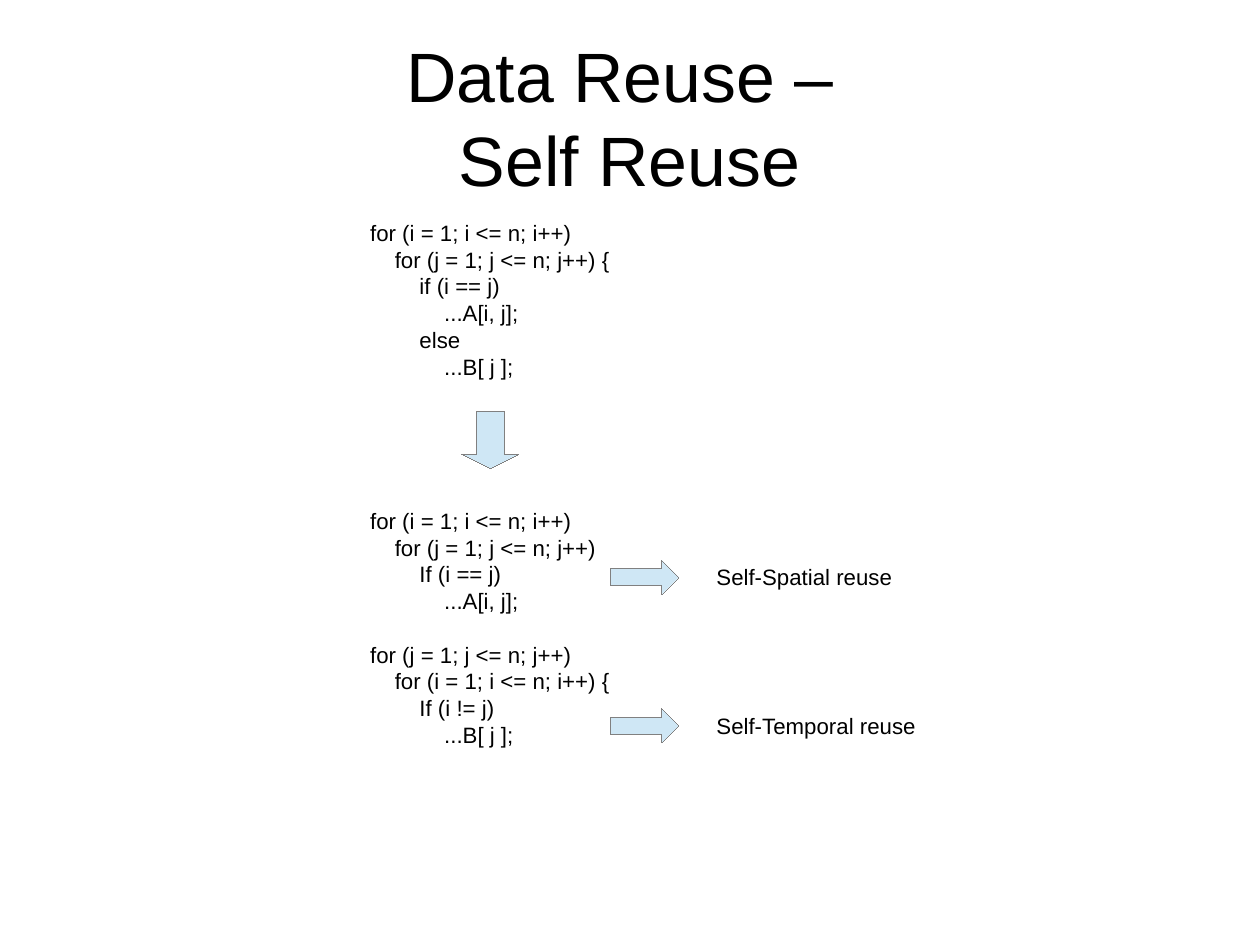
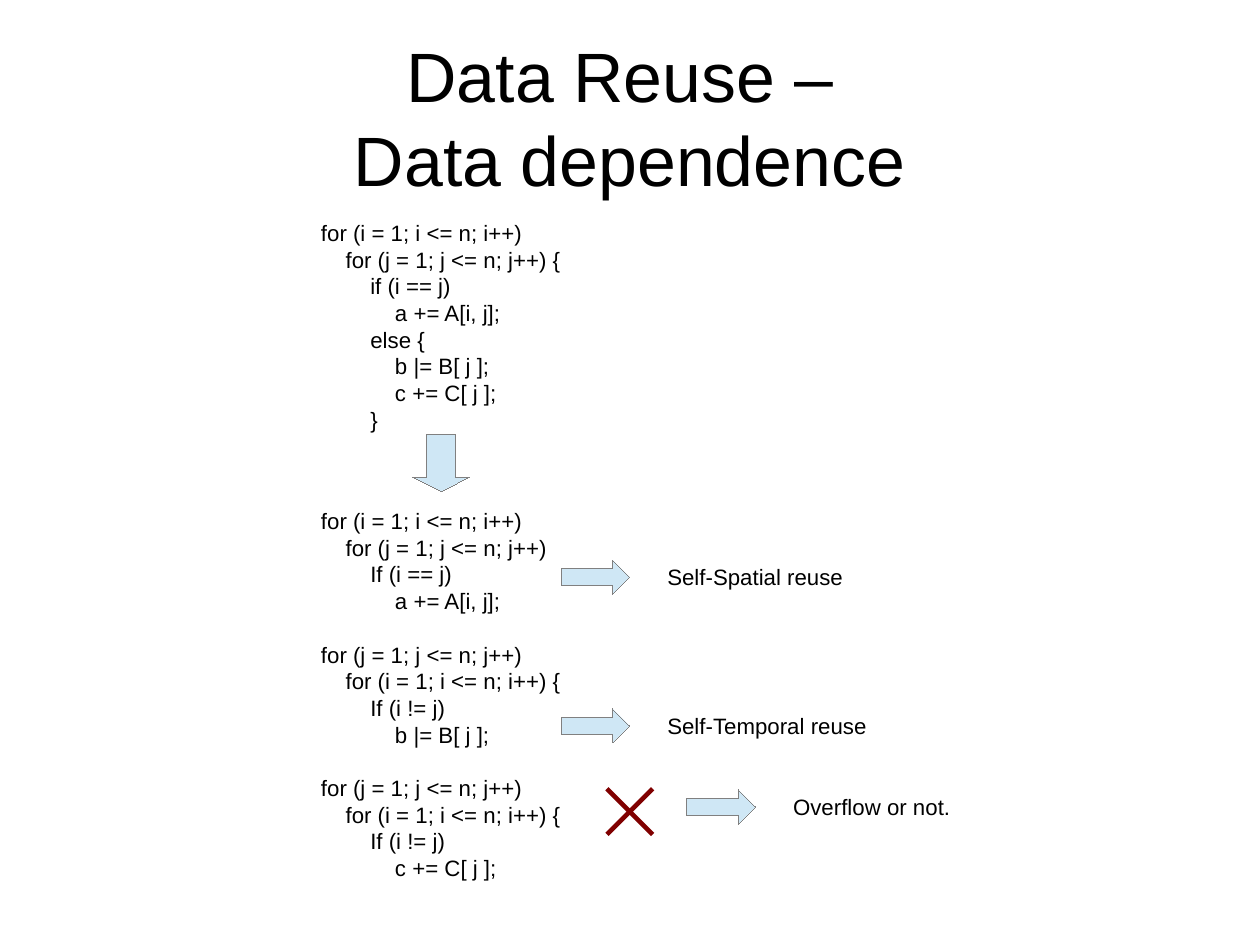
from dataclasses import dataclass

from pptx import Presentation
from pptx.dml.color import RGBColor
from pptx.enum.shapes import MSO_CONNECTOR, MSO_SHAPE
from pptx.enum.text import MSO_ANCHOR, PP_ALIGN
from pptx.oxml.ns import qn
from pptx.slide import Slide
from pptx.util import Cm, Inches, Length, Pt

WIDE, HIGH = Cm(28), Cm(21)
CELL = 0.1  # grid cell, in inches
FONT = "Arial"
BLACK = RGBColor(0x00, 0x00, 0x00)
SKY = RGBColor(0xCF, 0xE7, 0xF5)
GRAY = RGBColor(0x80, 0x80, 0x80)
MAROON = RGBColor(0x80, 0x00, 0x00)
CODE_TOP, SPLIT_TOP = 18.7, 43.9
DOWN_COL, NOTE_COL = 9, 22
BLOCK_GAP = Pt(16.8)


@dataclass(frozen=True)
class Note:
    text: str
    row: float
    col: float = NOTE_COL


@dataclass(frozen=True)
class Page:
    """Columns of notes and the cross count from the code's left edge."""
    title: str
    left: float
    code: str
    split: tuple[str, ...]
    down_row: float
    notes: tuple[Note, ...]
    cross: tuple[float, float] | None = None


SPATIAL = Note("Self-Spatial reuse", 49)
TEMPORAL = Note("Self-Temporal reuse", 62)

PAGES = (
    Page(
        "Self Reuse", 31.4,
        """for (i = 1; i <= n; i++)
    for (j = 1; j <= n; j++) {
        if (i == j)
            ...A[i, j];
        else
            ...B[ j ];""",
        ("""for (i = 1; i <= n; i++)
    for (j = 1; j <= n; j++)
        If (i == j)
            ...A[i, j];""",
         """for (j = 1; j <= n; j++)
    for (i = 1; i <= n; i++) {
        If (i != j)
            ...B[ j ];"""),
        36, (SPATIAL, TEMPORAL),
    ),
    Page(
        "Data dependence", 27.1,
        """for (i = 1; i <= n; i++)
    for (j = 1; j <= n; j++) {
        if (i == j)
            a += A[i, j];
        else {
            b |= B[ j ];
            c += C[ j ];
        }""",
        ("""for (i = 1; i <= n; i++)
    for (j = 1; j <= n; j++)
        If (i == j)
            a += A[i, j];""",
         """for (j = 1; j <= n; j++)
    for (i = 1; i <= n; i++) {
        If (i != j)
            b |= B[ j ];""",
         """for (j = 1; j <= n; j++)
    for (i = 1; i <= n; i++) {
        If (i != j)
            c += C[ j ];"""),
        38, (SPATIAL, TEMPORAL, Note("Overflow or not.", 69.1, 33)),
        (26, 69),
    ),
)


def grid(*cells: float) -> list[Length]:
    return [Inches(cell * CELL) for cell in cells]


def share(whole: Length, part: float) -> Length:
    return Length(round(whole * part))


def add_title(slide: Slide, text: str) -> None:
    box = slide.shapes.add_textbox(
        share(WIDE, 0.05), share(HIGH, 0.04),
        share(WIDE, 0.9), share(HIGH, 1 / 6))
    frame = box.text_frame
    frame.word_wrap = True
    frame.vertical_anchor = MSO_ANCHOR.MIDDLE
    frame.margin_left = frame.margin_right = 0
    frame.margin_top = frame.margin_bottom = 0
    line = frame.paragraphs[0]
    line.text = f"Data Reuse – \v{text}"
    line.alignment = PP_ALIGN.CENTER
    line.font.name, line.font.size = FONT, Pt(44)
    line.font.color.rgb = BLACK


def add_text(slide: Slide, col: float, row: float, wide: float,
             *blocks: str) -> None:
    """Write one paragraph a line, with a gap between blocks."""
    high = 1 + 2.2 * sum(len(block.splitlines()) for block in blocks)
    frame = slide.shapes.add_textbox(*grid(col, row, wide, high)).text_frame
    frame.word_wrap = True
    line = frame.paragraphs[0]
    for part, block in enumerate(blocks):
        for index, text in enumerate(block.splitlines()):
            if part or index:
                line = frame.add_paragraph()
            if part and not index:
                line.space_before = BLOCK_GAP
            line.text = text
            line.font.name, line.font.size = FONT, Pt(14)
            line.font.color.rgb = BLACK


def add_arrow(slide: Slide, kind: MSO_SHAPE, col: float, row: float,
              wide: float, high: float, head: float) -> None:
    """Draw a block arrow with a hairline edge."""
    arrow = slide.shapes.add_shape(kind, *grid(col, row, wide, high))
    arrow.adjustments[0], arrow.adjustments[1] = 0.5, head
    arrow.shadow.inherit = False
    arrow.fill.solid()
    arrow.fill.fore_color.rgb = SKY
    arrow.line.color.rgb = GRAY
    arrow._element.spPr.find(qn("a:ln")).set("w", "0")


def add_note(slide: Slide, left: float, note: Note) -> None:
    col = left + note.col
    add_text(slide, col + 8.3, note.row - 0.2, 20, note.text)
    add_arrow(slide, MSO_SHAPE.RIGHT_ARROW, col, note.row, 6, 3, 0.5)


def add_cross(slide: Slide, col: float, row: float, side: float = 4) -> None:
    for start, end in ((col + side, col), (col, col + side)):
        line = slide.shapes.add_connector(
            MSO_CONNECTOR.STRAIGHT, *grid(start, row, end, row + side))
        line.line.color.rgb = MAROON
        line.line.width = Pt(2.89)
        props = line._element.spPr
        props.append(props.makeelement(qn("a:effectLst"), {}))


def add_page(deck: Presentation, page: Page) -> None:
    slide = deck.slides.add_slide(deck.slide_layouts[6])
    add_title(slide, page.title)
    add_text(slide, page.left, CODE_TOP, 31, page.code)
    add_text(slide, page.left, SPLIT_TOP, 31, *page.split)
    add_arrow(slide, MSO_SHAPE.DOWN_ARROW, page.left + DOWN_COL,
              page.down_row, 5, 5, 0.25)
    for note in page.notes:
        add_note(slide, page.left, note)
    if page.cross:
        col, row = page.cross
        add_cross(slide, page.left + col, row)


def main() -> None:
    deck = Presentation()
    deck.slide_width, deck.slide_height = WIDE, HIGH
    for page in PAGES:
        add_page(deck, page)
    deck.save("out.pptx")


if __name__ == "__main__":
    main()
